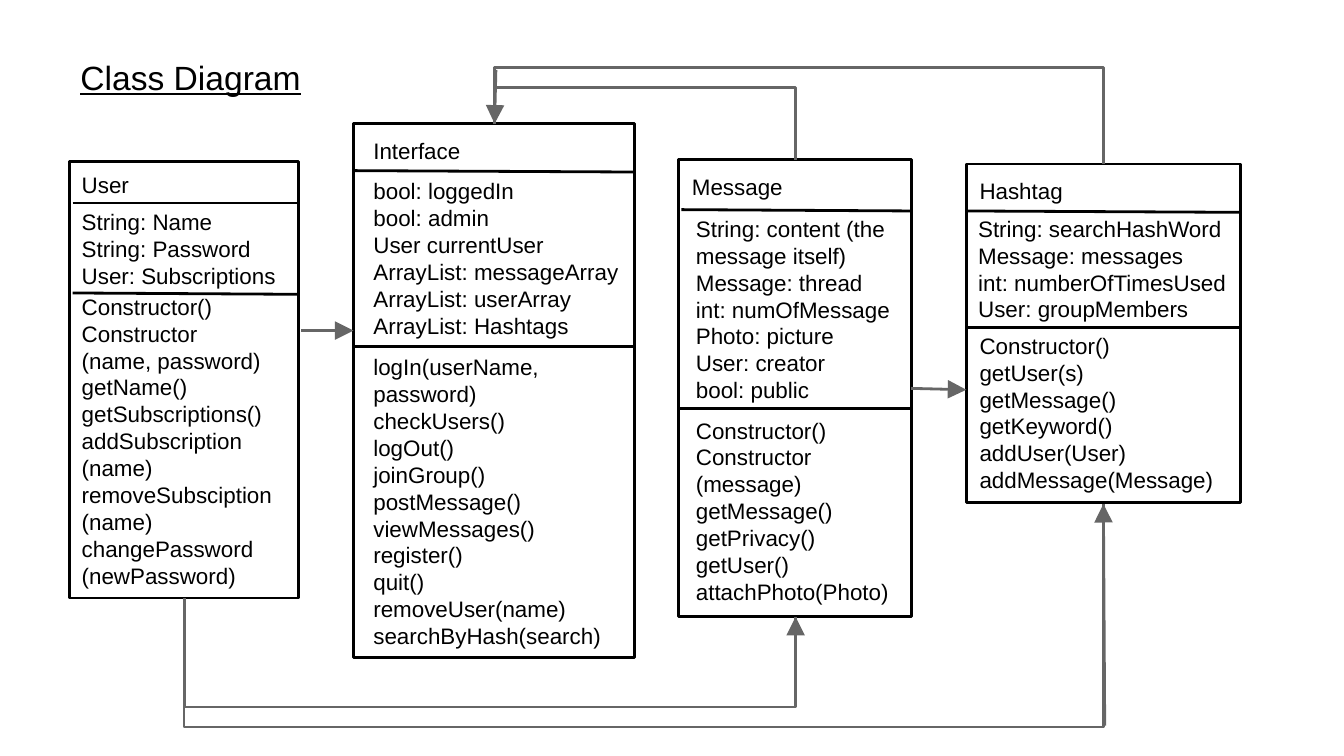
from lxml import etree
from pptx import Presentation
from pptx import util as u
from pptx.dml.color import RGBColor
from pptx.enum import shapes, text
from pptx.oxml import ns

INK = {"black": "000000", "gray": "666666"}


class Board:
    """Holds the style and the current slide."""

    font, size, weight, pad = "Arial", 12, 1.5, 0.1

    def __init__(self, wide, high):
        self.deck = Presentation()
        self.deck.slide_width, self.deck.slide_height = u.Inches(wide), u.Inches(high)
        self.slide = self.deck.slides.add_slide(self.deck.slide_layouts[6])

    def pen(self, line, ink):
        line.color.rgb = RGBColor.from_string(INK[ink])
        line.width = u.Pt(self.weight)

    def label(self, box, lines, size=None, under=None):
        frame = self.slide.shapes.add_textbox(*map(u.Inches, box)).text_frame
        frame.word_wrap = True
        frame.vertical_anchor = text.MSO_ANCHOR.TOP
        frame.margin_left = frame.margin_right = u.Inches(self.pad)
        frame.margin_top = frame.margin_bottom = u.Inches(self.pad)
        for i, words in enumerate(lines):
            para = frame.add_paragraph() if i else frame.paragraphs[0]
            run = para.add_run()
            run.text = words
            run.font.name, run.font.size = self.font, u.Pt(size or self.size)
            run.font.underline = under
            run.font.color.rgb = RGBColor.from_string(INK["black"])

    def frame(self, box):
        rect = self.slide.shapes.add_shape(shapes.MSO_SHAPE.RECTANGLE, *map(u.Inches, box))
        rect.shadow.inherit = False
        rect.fill.background()
        self.pen(rect.line, "black")

    def line(self, start, end, ink="black", kind=shapes.MSO_CONNECTOR.STRAIGHT):
        link = self.slide.shapes.add_connector(kind, *map(u.Inches, (*start, *end)))
        self.pen(link.line, ink)
        etree.SubElement(link._element.spPr, ns.qn("a:effectLst"))
        return link

    def arrow(self, start, end):
        link = self.line(start, end, "gray")
        etree.SubElement(link.line._get_or_add_ln(), ns.qn("a:tailEnd"),
                         type="triangle", w="lg", len="lg")

    def elbow(self, start, end, level):
        (x1, y1), (x2, y2) = start, end
        dx, dy = x2 - x1, y2 - y1
        mid, half = (x1 + x2) / 2, abs(dy) / 2
        top = (y1 + y2 - abs(dx)) / 2
        side = half if (dx > 0) == (dy > 0) else -half
        link = self.line((mid + side, top), (mid - side, top + abs(dx)),
                         "gray", shapes.MSO_CONNECTOR.ELBOW)
        props = link._element.spPr
        turn = 270 if dx > 0 else 90
        props.find(ns.qn("a:xfrm")).set("rot", str(turn * 60000))
        guides = props.find(ns.qn("a:prstGeom")).find(ns.qn("a:avLst"))
        bend = round((level - y1) / dy * 100000)
        etree.SubElement(guides, ns.qn("a:gd"), name="adj1", fmla=f"val {bend}")


CARDS = [
    {"box": (0.52, 1.2, 1.7, 3.25),
     "rules": [((0.54, 1.51), (2.22, 1.51)), ((0.54, 2.18), (2.21, 2.19))],
     "parts": [
         ((0.51, 1.17, 1.37, 0.34), ["User"]),
         ((0.51, 1.45, 1.67, 1.21),
          ["String: Name", "String: Password", "User: Subscriptions"]),
         ((0.51, 2.08, 1.67, 2.37),
          ["Constructor()", "Constructor", "(name, password)", "getName()",
           "getSubscriptions()", "addSubscription", "(name)",
           "removeSubsciption", "(name)", "changePassword", "(newPassword)"])]},
    {"box": (2.63, 0.92, 2.09, 3.97),
     "rules": [((2.64, 1.27), (4.72, 1.28)), ((2.64, 2.58), (4.73, 2.58))],
     "parts": [
         ((2.68, 0.92, 1.37, 0.37), ["Interface"]),
         ((2.68, 1.22, 2.09, 1.36),
          ["bool: loggedIn", "bool: admin", "User currentUser",
           "ArrayList: messageArray", "ArrayList: userArray", "ArrayList: Hashtags"]),
         ((2.68, 2.53, 2.04, 2.6),
          ["logIn(userName, password)", "checkUsers()", "logOut()", "joinGroup()",
           "postMessage()", "viewMessages()", "register()", "quit()",
           "removeUser(name)", "searchByHash(search)"])]},
    {"box": (5.05, 1.19, 1.73, 3.4),
     "rules": [((5.07, 1.56), (6.78, 1.57)), ((5.05, 3.04), (6.78, 3.04))],
     "parts": [
         ((5.05, 1.19, 1.39, 0.34), ["Message"]),
         ((5.08, 1.5, 1.7, 1.58),
          ["String: content (the message itself)", "Message: thread",
           "int: numOfMessage", "Photo: picture", "User: creator", "bool: public"]),
         ((5.08, 3, 1.7, 0.92),
          ["Constructor()", "Constructor", "(message)", "getMessage()",
           "getPrivacy()", "getUser()", "attachPhoto(Photo)"])]},
    {"box": (7.19, 1.22, 2.04, 2.52),
     "rules": [((7.19, 1.57), (9.24, 1.58)), ((7.19, 2.44), (9.23, 2.44))],
     "parts": [
         ((7.19, 1.22, 1.37, 0.34), ["Hashtag"]),
         ((7.18, 1.5, 2.17, 1.26),
          ["String: searchHashWord", "Message: messages",
           "int: numberOfTimesUsed", "User: groupMembers "]),
         ((7.19, 2.37, 2.04, 1.46),
          ["Constructor()", "getUser(s)", "getMessage()", "getKeyword()",
           "addUser(User)", "addMessage(Message)"])]},
]

ELBOWS = [
    ((1.37, 4.45), (5.92, 4.59), 5.26),
    ((1.37, 4.45), (8.21, 3.75), 5.41),
    ((5.92, 1.19), (3.68, 0.92), 0.65),
    ((8.21, 1.22), (3.68, 0.92), 0.5),
]
ARROWS = [
    ((6.78, 2.89), (7.19, 2.9)),
    ((2.24, 2.46), (2.63, 2.46)),
    ((3.69, 0.52), (3.68, 0.92)),
    ((5.92, 5.24), (5.92, 4.59)),
    ((8.22, 5.4), (8.21, 3.75)),
]

board = Board(10, 5.625)
board.label((0.5, 0.32, 2.09, 0.48), ["Class Diagram"], size=18, under=True)
for card in CARDS:
    for box, lines in card["parts"]:
        board.label(box, lines)
    board.frame(card["box"])
    for start, end in card["rules"]:
        board.line(start, end)
for start, end, level in ELBOWS:
    board.elbow(start, end, level)
for start, end in ARROWS:
    board.arrow(start, end)
board.deck.save("out.pptx")
